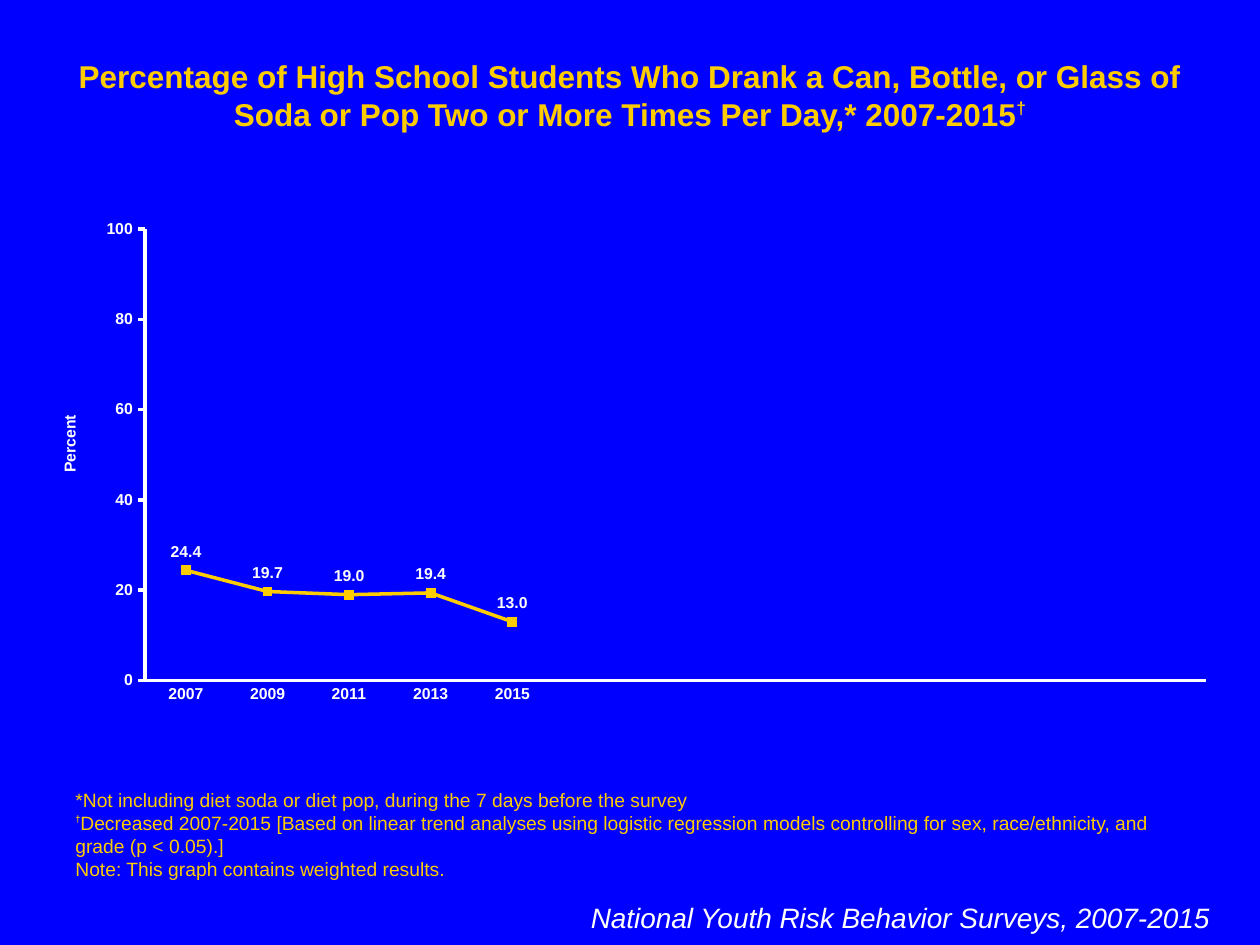
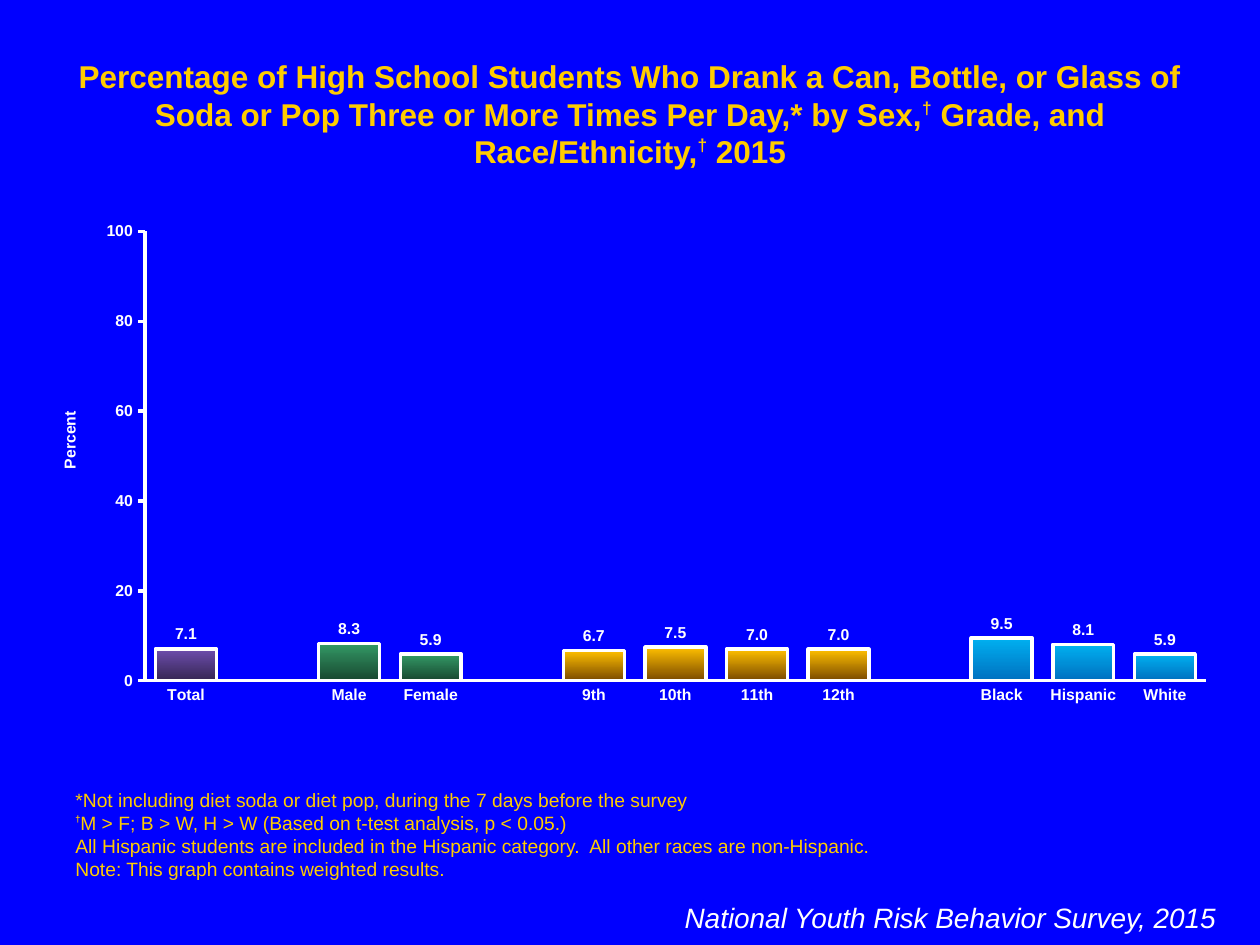
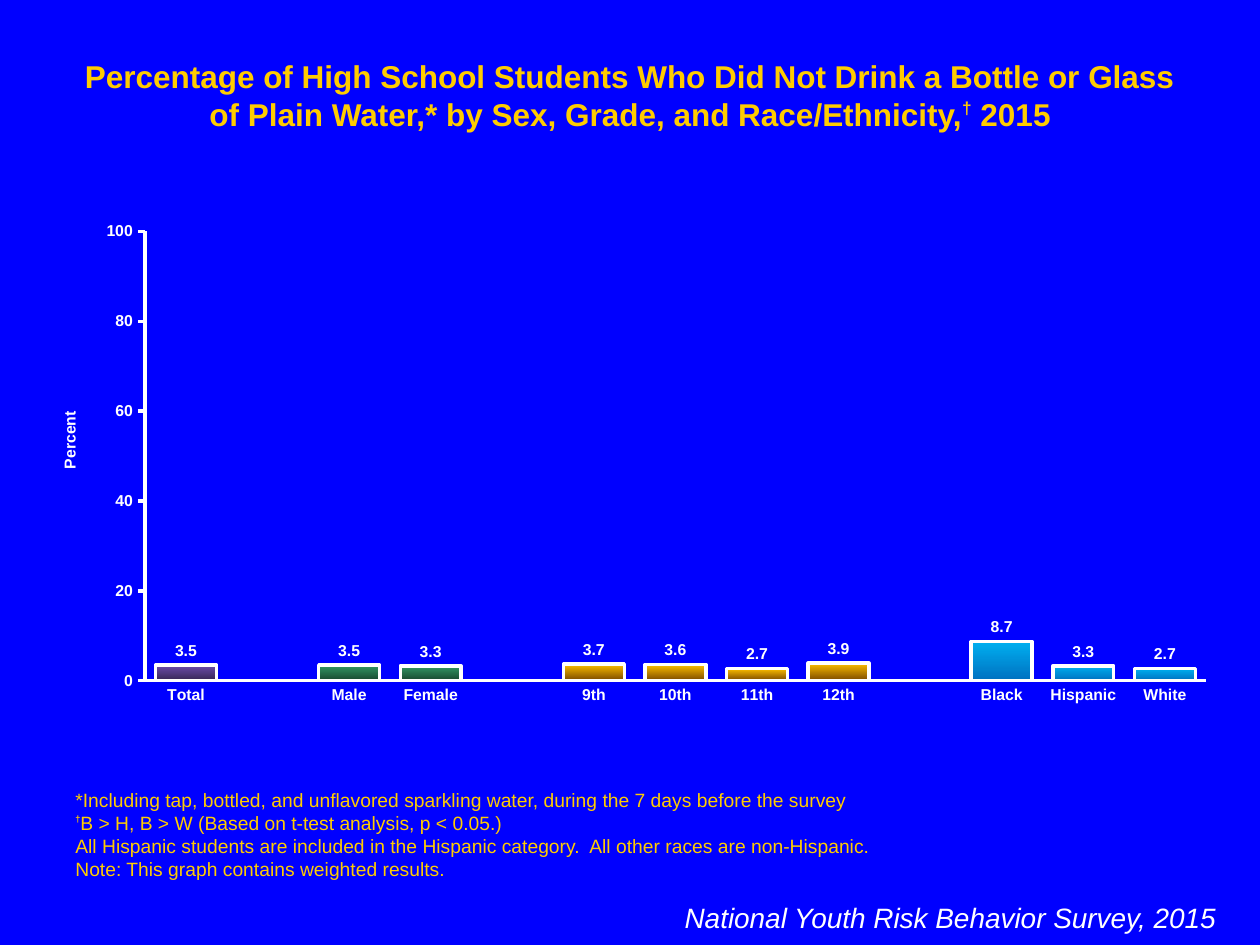
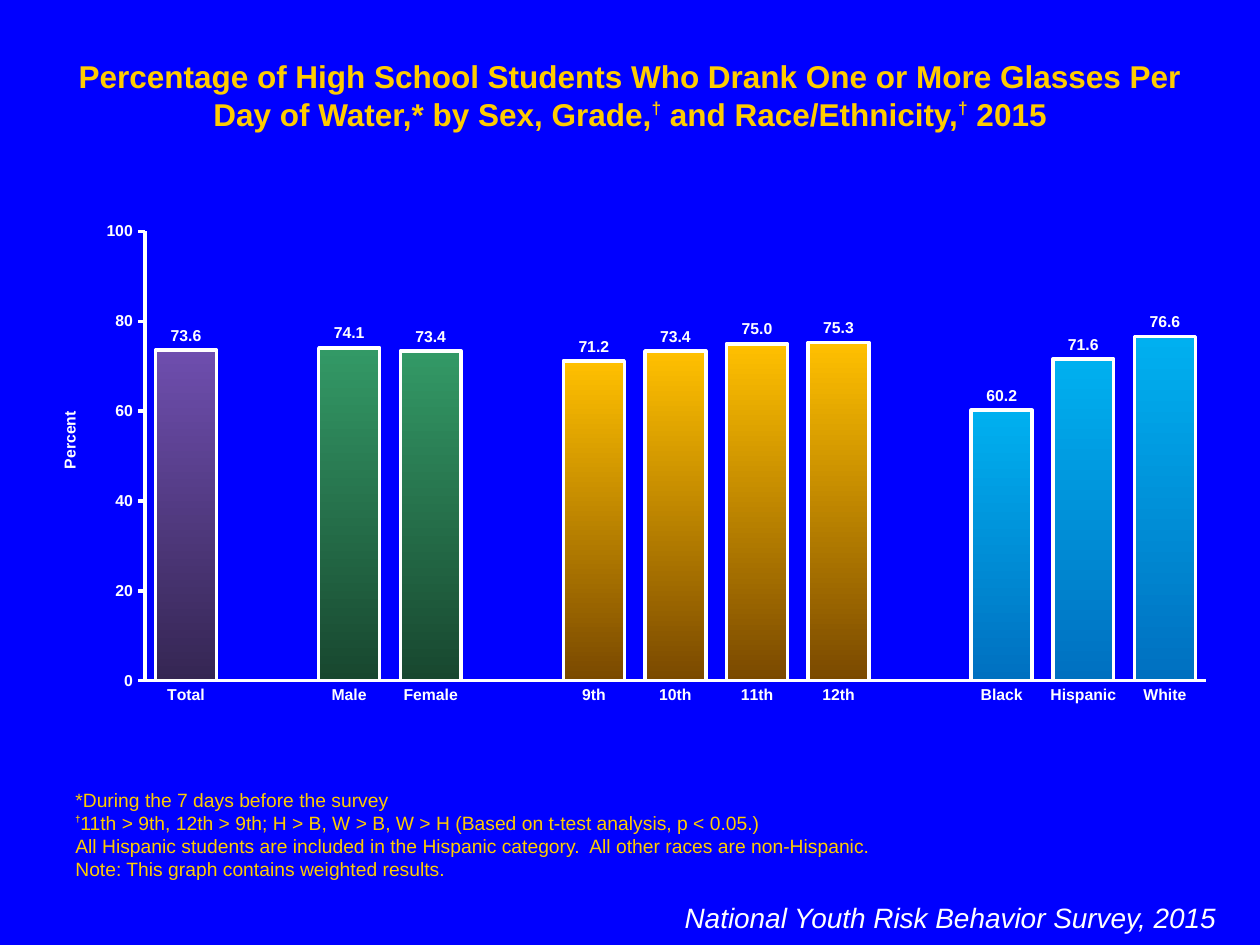
from dataclasses import dataclass
from itertools import groupby

from lxml import etree
from pptx import Presentation
from pptx.chart.data import CategoryChartData
from pptx.dml.color import RGBColor
from pptx.enum.chart import XL_CHART_TYPE, XL_LABEL_POSITION, XL_MARKER_STYLE, XL_TICK_MARK
from pptx.enum.text import MSO_ANCHOR, MSO_AUTO_SIZE, PP_ALIGN
from pptx.oxml.ns import qn
from pptx.util import Pt

LINE_CHART = XL_CHART_TYPE.LINE_MARKERS
BAR_CHART = XL_CHART_TYPE.COLUMN_CLUSTERED
ABOVE = XL_LABEL_POSITION.ABOVE
OUTSIDE_END = XL_LABEL_POSITION.OUTSIDE_END
SQUARE = XL_MARKER_STYLE.SQUARE
TICK_NONE, TICK_OUT = XL_TICK_MARK.NONE, XL_TICK_MARK.OUTSIDE
TOP, BOTTOM = MSO_ANCHOR.TOP, MSO_ANCHOR.BOTTOM
CENTER, LEFT, RIGHT = PP_ALIGN.CENTER, PP_ALIGN.LEFT, PP_ALIGN.RIGHT
GROW = MSO_AUTO_SIZE.SHAPE_TO_FIT_TEXT


@dataclass(frozen=True)
class Theme:
    font: str = "Arial"
    blue: str = "0000FF"
    gold: str = "FFCC00"
    white: str = "FFFFFF"
    title_size: float = 18
    title_mark_size: float = 17
    note_size: float = 11
    note_mark_size: float = 9
    source_size: float = 16
    chart_size: float = 18
    label_size: float = 9
    line_width: float = 2
    marker_size: int = 5


THEME = Theme()
MARK = "†"
PAGE_SIZE = (720, 540)
TITLE_BOX = (36, 28.8, 648, 28.8)
NOTE_BOX = (36, 486, 648, 20.88)
TREND_SOURCE_BOX = (326.16, 511.2, 372.24, 26.64)
GROUP_SOURCE_BOX = (306, 511.2, 396, 26.64)
TREND_CHART_BOX = (18, 120.24, 684, 288)
GROUP_CHART_BOX = (18, 121.68, 684, 286.56)
PLOT_SHARE = {"x": 0.095, "y": 0.037, "w": 0.886, "h": 0.896}

GROUPS = (
    (("Total",), "6E4EAE", "4F387C", -0.33),
    (("Male", "Female"), "339966", "18472F", 0),
    (("9th", "10th", "11th", "12th"), "FFC000", "B66D00", -0.33),
    (("Black", "Hispanic", "White"), "00B0F0", "0070C0", 0),
)
YEARS = ("2007", "2009", "2011", "2013", "2015")
CATEGORY_COUNT = 13

SODA_NOTE = "*Not including diet soda or diet pop, during the 7 days before the survey"
HISPANIC_NOTE = "All Hispanic students are included in the Hispanic category.  All other races are non-Hispanic."
WEIGHT_NOTE = "Note: This graph contains weighted results."
TREND_SOURCE = "National Youth Risk Behavior Surveys, 2007-2015"
GROUP_SOURCE = "National Youth Risk Behavior Survey, 2015"

TREND_PAGE = {
    "title": "Percentage of High School Students Who Drank a Can, Bottle, or Glass of "
             "Soda or Pop Two or More Times Per Day,* 2007-2015†",
    "notes": (
        SODA_NOTE,
        "†Decreased 2007-2015 [Based on linear trend analyses using logistic regression models "
        "controlling for sex, race/ethnicity, and grade (p < 0.05).]",
        WEIGHT_NOTE,
    ),
    "values": (24.4, 19.7, 19.0, 19.4, 13.0),
}
GROUP_PAGES = (
    {
        "title": "Percentage of High School Students Who Drank a Can, Bottle, or Glass of "
                 "Soda or Pop Three or More Times Per Day,* by Sex,† Grade, and Race/Ethnicity,† 2015",
        "notes": (SODA_NOTE, "†M > F; B > W, H > W (Based on t-test analysis, p < 0.05.)"),
        "values": ((7.1,), (8.3, 5.9), (6.7, 7.5, 7.0, 7.0), (9.5, 8.1, 5.9)),
    },
    {
        "title": "Percentage of High School Students Who Did Not Drink a Bottle or Glass of "
                 "Plain Water,* by Sex, Grade, and Race/Ethnicity,† 2015",
        "notes": (
            "*Including tap, bottled, and unflavored sparkling water, during the 7 days before the survey",
            "†B > H, B > W (Based on t-test analysis, p < 0.05.)",
        ),
        "values": ((3.5,), (3.5, 3.3), (3.7, 3.6, 2.7, 3.9), (8.7, 3.3, 2.7)),
    },
    {
        "title": "Percentage of High School Students Who Drank One or More Glasses Per Day of "
                 "Water,* by Sex, Grade,† and Race/Ethnicity,† 2015",
        "notes": (
            "*During the 7 days before the survey",
            "†11th > 9th, 12th > 9th; H > B, W > B, W > H (Based on t-test analysis, p < 0.05.)",
        ),
        "values": ((73.6,), (74.1, 73.4), (71.2, 73.4, 75.0, 75.3), (60.2, 71.6, 76.6)),
    },
)


def points(box):
    return [Pt(length) for length in box]


def apply(target, formats):
    for name, value in formats.items():
        setattr(target, name, value)


def style_font(font, size, color, bold=False, italic=False):
    apply(font, {"name": THEME.font, "size": Pt(size), "bold": bold, "italic": italic})
    font.color.rgb = RGBColor.from_string(color)


def style_line(line, color=THEME.white):
    line.color.rgb = RGBColor.from_string(color)
    line.width = Pt(THEME.line_width)


def write_para(para, text, align, style, mark_size=0, mark_raise=0):
    para.alignment = align
    for is_mark, letters in groupby(text, key=lambda letter: letter == MARK):
        span = para.add_run()
        span.text = "".join(letters)
        if is_mark:
            style_font(span.font, mark_size, style["color"], bold=True)
            span.font._element.set("baseline", str(mark_raise * 1000))
        else:
            style_font(span.font, **style)


def shape_frame(frame, anchor):
    apply(frame, {"word_wrap": True, "vertical_anchor": anchor, "auto_size": GROW})


def add_title(page, box, text):
    title = page.shapes.title
    apply(title, dict(zip(("left", "top", "width", "height"), points(box))))
    shape_frame(title.text_frame, TOP)
    style = {"size": THEME.title_size, "color": THEME.gold, "bold": True}
    write_para(title.text_frame.paragraphs[0], text, CENTER, style, THEME.title_mark_size, 40)


def add_notes(page, box, notes):
    frame = page.shapes.add_textbox(*points(box)).text_frame
    shape_frame(frame, BOTTOM)
    style = {"size": THEME.note_size, "color": THEME.gold}
    for index, note in enumerate(notes):
        para = frame.add_paragraph() if index else frame.paragraphs[0]
        write_para(para, note, LEFT, style, THEME.note_mark_size, 50)


def add_source(page, box, text):
    frame = page.shapes.add_textbox(*points(box)).text_frame
    shape_frame(frame, TOP)
    style = {"size": THEME.source_size, "color": THEME.white, "italic": True}
    write_para(frame.paragraphs[0], text, RIGHT, style)


def set_layout(parent, shares, inner=False):
    layout = parent.find(qn("c:layout"))
    if layout is None:
        layout = etree.Element(qn("c:layout"))
        parent.insert(0, layout)
    for child in list(layout):
        layout.remove(child)
    manual = etree.SubElement(layout, qn("c:manualLayout"))
    entries = [("layoutTarget", "inner")] if inner else []
    entries += [("xMode", "edge"), ("yMode", "edge")]
    entries += list(shares.items())
    for name, value in entries:
        etree.SubElement(manual, qn(f"c:{name}")).set("val", str(value))


def style_axes(chart, title_top):
    category_axis, value_axis = chart.category_axis, chart.value_axis
    for axis, tick in ((category_axis, TICK_NONE), (value_axis, TICK_OUT)):
        apply(axis, {"has_major_gridlines": False, "major_tick_mark": tick, "minor_tick_mark": TICK_NONE})
        style_font(axis.tick_labels.font, THEME.label_size, THEME.white, bold=True)
        style_line(axis.format.line)
    apply(value_axis, {"minimum_scale": 0, "maximum_scale": 100, "major_unit": 20})
    apply(value_axis.tick_labels, {"number_format": "#,##0", "number_format_is_linked": False})
    para = value_axis.axis_title.text_frame.paragraphs[0]
    write_para(para, "Percent", CENTER, {"size": THEME.label_size, "color": THEME.white, "bold": True})
    set_layout(value_axis.axis_title._element, {"x": 0.021, "y": title_top})


def add_percent_chart(page, box, kind, categories, values, label_position, title_top):
    data = CategoryChartData()
    data.categories = categories
    data.add_series("Series 1", values)
    chart = page.shapes.add_chart(kind, *points(box), data).chart
    apply(chart, {"has_title": False, "has_legend": False})
    style_font(chart.font, THEME.chart_size, THEME.white)
    style_axes(chart, title_top)
    plot = chart.plots[0]
    apply(plot, {"vary_by_categories": False, "has_data_labels": True})
    labels = plot.data_labels
    apply(labels, {"show_value": True, "position": label_position,
                   "number_format": "#,##0.0", "number_format_is_linked": False})
    style_font(labels.font, THEME.label_size, THEME.white, bold=True)
    set_layout(chart._chartSpace.chart.plotArea, PLOT_SHARE, inner=True)
    return plot


def add_trend_chart(page, box, values):
    blanks = CATEGORY_COUNT - len(YEARS)
    categories = YEARS + ("",) * blanks
    plot = add_percent_chart(page, box, LINE_CHART, categories, values + (None,) * blanks, ABOVE, 0.4)
    series = plot.series[0]
    series.smooth = False
    style_line(series.format.line, THEME.gold)
    apply(series.marker, {"style": SQUARE, "size": THEME.marker_size})
    series.marker.format.fill.solid()
    series.marker.format.fill.fore_color.rgb = RGBColor.from_string(THEME.gold)
    series.marker.format.line.color.rgb = RGBColor.from_string(THEME.gold)


def join_groups(groups, gap):
    joined = []
    for group in groups:
        joined += ([gap] if joined else []) + list(group)
    return joined


def fill_bar(bar, light, dark, brightness):
    fill = bar.format.fill
    fill.gradient()
    fill.gradient_angle = 270
    for stop, color, position in zip(fill.gradient_stops, (light, dark), (0, 1)):
        stop.color.rgb = RGBColor.from_string(color)
        stop.position = position
    fill.gradient_stops[1].color.brightness = brightness
    style_line(bar.format.line)


def add_group_chart(page, box, values):
    categories = join_groups([group[0] for group in GROUPS], "")
    plot = add_percent_chart(page, box, BAR_CHART, categories, join_groups(values, None), OUTSIDE_END, 0.39)
    apply(plot, {"gap_width": 34, "overlap": 100})
    series = plot.series[0]
    series.invert_if_negative = False
    for labels, *colors in GROUPS:
        for label in labels:
            fill_bar(series.points[categories.index(label)], *colors)


def add_page(deck, title, notes, source, source_box):
    page = deck.slides.add_slide(deck.slide_layouts[5])
    add_title(page, TITLE_BOX, title)
    add_notes(page, NOTE_BOX, notes)
    add_source(page, source_box, source)
    return page


def main():
    deck = Presentation()
    deck.slide_width, deck.slide_height = points(PAGE_SIZE)
    backdrop = deck.slide_master.background.fill
    backdrop.solid()
    backdrop.fore_color.rgb = RGBColor.from_string(THEME.blue)

    page = add_page(deck, TREND_PAGE["title"], TREND_PAGE["notes"], TREND_SOURCE, TREND_SOURCE_BOX)
    add_trend_chart(page, TREND_CHART_BOX, TREND_PAGE["values"])
    for content in GROUP_PAGES:
        notes = content["notes"] + (HISPANIC_NOTE, WEIGHT_NOTE)
        page = add_page(deck, content["title"], notes, GROUP_SOURCE, GROUP_SOURCE_BOX)
        add_group_chart(page, GROUP_CHART_BOX, content["values"])
    deck.save("out.pptx")


if __name__ == "__main__":
    main()
